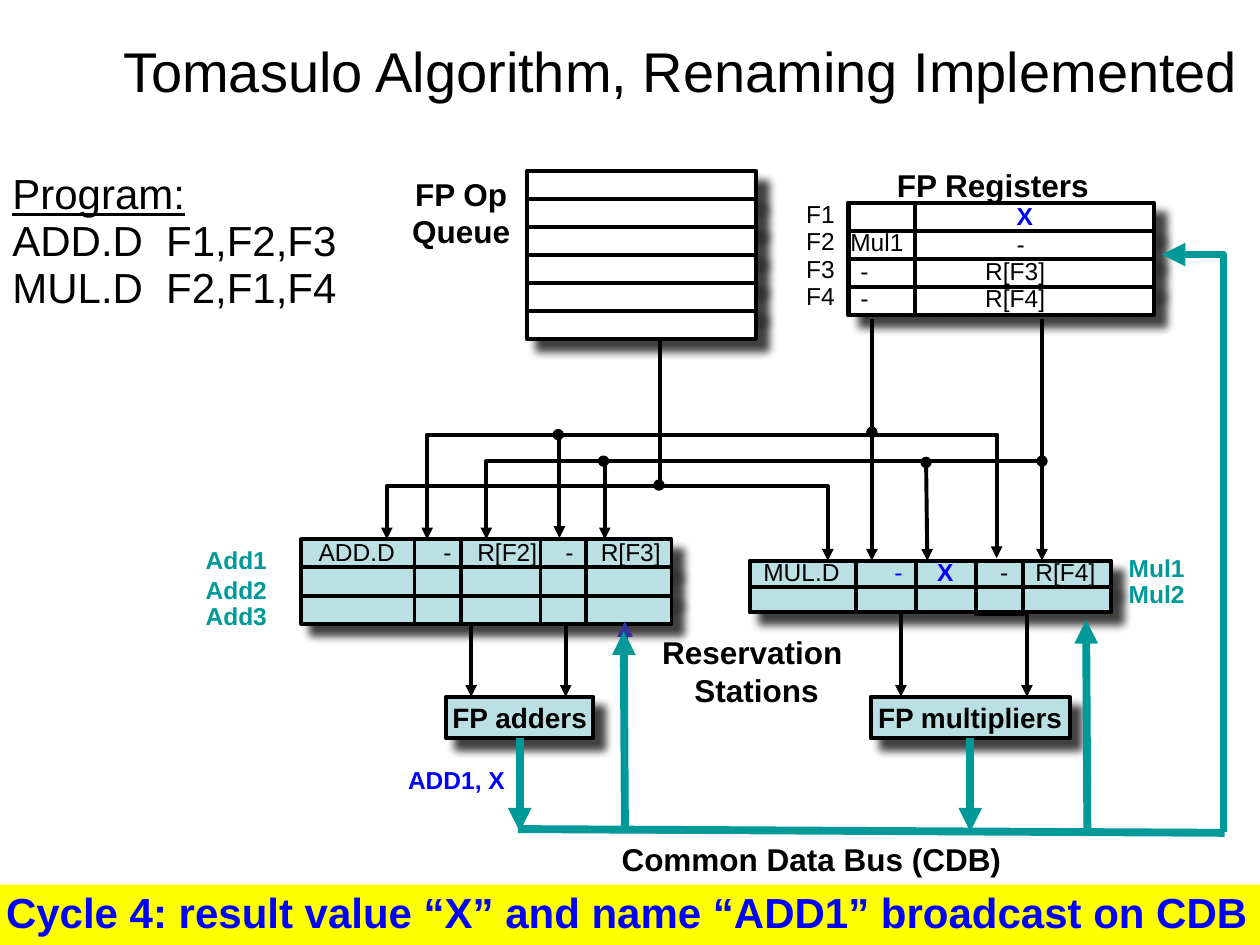
from lxml import etree
from pptx import Presentation
from pptx.dml.color import RGBColor
from pptx.enum.shapes import MSO_CONNECTOR as Connector, MSO_SHAPE as Preset
from pptx.enum.text import MSO_ANCHOR as Anchor, MSO_AUTO_SIZE as AutoSize, PP_ALIGN as Align
from pptx.oxml.ns import qn
from pptx.util import Inches, Pt

COLORS = {"black": "000000", "white": "FFFFFF", "pale": "BBE0E3", "teal": "009999",
          "indigo": "333399", "blue": "0000FF", "yellow": "FFFF00"}
TITLE = "Tomasulo Algorithm, Renaming Implemented"

STACKS = [
    ((4.18, 1.36, 1.82, 1.33), 6, "white"),
    ((6.74, 1.61, 2.42, 0.89), 4, "white"),
    ((2.39, 4.28, 2.94, 0.67), 3, "pale"),
    ((5.95, 4.45, 2.87, 0.41), 2, "pale"),
]
COLUMNS = [(3.29, 4.28, 0.37, 0.67), (4.29, 4.28, 0.36, 0.67), (6.79, 4.45, 0.48, 0.41),
           (7.75, 4.45, 0.37, 0.42), (6.73, 1.61, 0.53, 0.89)]
UNITS = {"FP adders": (3.54, 5.53, 1.17, 0.33), "FP multipliers": (6.91, 5.53, 1.58, 0.33)}

THIN, THICK = ("black", 2.25), ("teal", 4.5)
ARROWS = [
    ((3.74, 4.95), (3.74, 5.53), THIN), ((4.49, 4.95), (4.49, 5.53), THIN),
    ((7.15, 4.86), (7.15, 5.53), THIN), ((8.15, 4.86), (8.15, 5.53), THIN),
    ((6.92, 3.45), (6.92, 4.45), THIN), ((8.27, 2.53), (8.27, 4.45), THIN),
    ((7.35, 3.68), (7.36, 4.45), THIN), ((4.44, 3.43), (4.44, 4.27), THIN),
    ((4.96, 6.27), (4.96, 4.93), ("indigo", 3)),
    ((4.96, 6.6), (4.95, 5.01), THICK), ((8.63, 6.6), (8.62, 4.92), THICK),
]
BUS = ((4.11, 6.58), (9.72, 6.61), THICK)
BUS_Y = 6.6
ROUTES = [
    ([(5.24, 2.7), (5.24, 3.86), (3.07, 3.86), (3.07, 4.28)], THIN),
    ([(5.24, 3.86), (6.57, 3.86), (6.57, 4.45)], THIN),
    ([(6.92, 2.53), (6.92, 3.45), (3.39, 3.45), (3.39, 4.28)], THIN),
    ([(8.26, 3.66), (4.8, 3.66), (4.8, 4.28)], THIN),
    ([(6.86, 3.45), (7.91, 3.45), (7.91, 4.43)], THIN),
    ([(4.87, 3.66), (3.86, 3.66), (3.86, 4.28)], THIN),
    ([(9.71, 6.6), (9.71, 2.02), (9.22, 2.02)], THICK),
]
DOT = 0.08
DOTS = [(5.19, 3.81), (6.88, 3.39), (4.39, 3.41), (7.31, 3.63), (8.23, 3.62), (4.75, 3.62)]

HEADING = {"size": 18, "bold": True}
TAG = {"size": 14, "bold": True, "color": "teal"}
CELL = {"size": 14}
RESULT = {"bold": True, "color": "blue"}
LABELS = [
    ((1.53, 4.27, 0.69, 0.79), ["Add1", "Add2", "Add3"], TAG, [1, 1, 0.9]),
    ((8.78, 4.36, 0.8, 0.53), ["Mul1", "Mul2"], TAG, [0.9, 0.9]),
    ((7.01, 1.26, 1.74, 0.41), ["FP Registers"], HEADING, [1]),
    ((5.15, 4.97, 1.71, 0.71), ["Reservation ", "Stations"], HEADING, [1, 1]),
    ((4.82, 6.61, 3.24, 0.41), ["Common Data Bus (CDB)"], HEADING, [1]),
    ((3.17, 1.33, 0.98, 0.71), ["FP Op", "Queue"], HEADING, [1, 1]),
]
NOTES = [
    ((0, 1.32, 3.09, 1.23),
     [[("Program:", {"underline": True})], "ADD.D\tF1,F2,F3", "MUL.D\tF2,F1,F4"],
     {"size": 24}, [1.22]),
    ((6.3, 1.55, 0.43, 0.98), ["F1", "F2", "F3", "F4"], CELL, []),
    ((2.43, 4.23, 2.97, 0.32), ["ADD.D\t-\tR[F2],\t-\tR[F3]"], CELL, [0.99, 1.26, 1.96, 2.24]),
    ((6.65, 1.77, 0.62, 0.32), ["Mul1"], CELL, []),
    ((5.96, 4.39, 3.03, 0.32),
     [["MUL.D", ("\t-", {"color": "blue"}), ("\tX", RESULT), "\t-\tR[F4]"]],
     CELL, [1.04, 1.38, 1.88, 2.16]),
    ((6.73, 1.57, 1.72, 0.98),
     [[("\t\tX", RESULT)], "\t\t-", "-\tR[F3]", "-\tR[F4]"], CELL, [0.99, 1.24]),
    ((3.14, 6.04, 1.16, 0.32), ["ADD1, X"], {"size": 14, **RESULT}, []),
]
BANNER = ((-0.05, 7.02, 10.06, 0.48),
          ["Cycle 4: result value “X” and name “ADD1” broadcast on CDB"],
          {"size": 24, **RESULT})


def rgb(name):
    return RGBColor.from_string(COLORS[name])


def inches(values):
    return [Inches(value) for value in values]


def set_font(font, values):
    values = {"name": "Arial", "color": "black", **values}
    font.color.rgb = rgb(values.pop("color"))
    values["size"] = Pt(values["size"])
    for name, value in values.items():
        setattr(font, name, value)


def write(shape, lines, values, spacings, tabs=(), **frame_values):
    frame = shape.text_frame
    for name, value in frame_values.items():
        setattr(frame, name, value)
    centred = frame_values.get("vertical_anchor") == Anchor.MIDDLE
    for index, line in enumerate(lines):
        paragraph = frame.paragraphs[0] if index == 0 else frame.add_paragraph()
        paragraph.alignment = Align.CENTER if centred else Align.LEFT
        paragraph.line_spacing = spacings[index]
        if tabs:
            tab_list = etree.SubElement(paragraph._p.get_or_add_pPr(), qn("a:tabLst"))
            for tab in tabs:
                etree.SubElement(tab_list, qn("a:tab"), pos=str(Inches(tab)), algn="l")
        for part in [line] if isinstance(line, str) else line:
            text, changes = (part, {}) if isinstance(part, str) else part
            run = paragraph.add_run()
            run.text = text
            set_font(run.font, {**values, **changes})


def add_shadow(shape):
    effects = shape._element.spPr.find(qn("a:effectLst"))
    shadow = etree.SubElement(effects, qn("a:outerShdw"), blurRad=str(Pt(5)), dist=str(Pt(8.5)),
                              dir=str(45 * 60000), algn="ctr", rotWithShape="0")
    color = etree.SubElement(shadow, qn("a:srgbClr"), val=COLORS["black"])
    etree.SubElement(color, qn("a:alpha"), val="75000")


def add_block(shapes, box, fill=None, line=2.25, preset=Preset.RECTANGLE, shadow=False):
    shape = shapes.add_shape(preset, *inches(box))
    shape.shadow.inherit = False
    if fill:
        shape.fill.solid()
        shape.fill.fore_color.rgb = rgb(fill)
    else:
        shape.fill.background()
    if line:
        shape.line.color.rgb = rgb("black")
        shape.line.width = Pt(line)
    else:
        shape.line.fill.background()
    if shadow:
        add_shadow(shape)
    return shape


def style_line(shape, style, arrow=True):
    color, width = style
    shape.line.color.rgb = rgb(color)
    shape.line.width = Pt(width)
    if arrow:
        etree.SubElement(shape.line._get_or_add_ln(), qn("a:tailEnd"), type="triangle")


def add_line(shapes, start, end, style, arrow=True):
    connector = shapes.add_connector(Connector.STRAIGHT, *inches(start + end))
    style_line(connector, style, arrow)
    etree.SubElement(connector._element.spPr, qn("a:effectLst"))
    return connector


def add_route(shapes, points, style):
    start, *rest = [tuple(inches(point)) for point in points]
    builder = shapes.build_freeform(*start)
    builder.add_line_segments(rest, close=False)
    shape = builder.convert_to_shape()
    shape.shadow.inherit = False
    shape.fill.background()
    style_line(shape, style)


def main():
    presentation = Presentation()
    presentation.slide_width, presentation.slide_height = inches((10, 7.5))
    slide = presentation.slides.add_slide(presentation.slide_layouts[5])
    shapes = slide.shapes
    title = shapes.title
    title.left, title.top, title.width, title.height = inches((0.81, 0, 9.19, 1.12))
    write(title, [TITLE], {"size": 32}, [1], vertical_anchor=Anchor.MIDDLE, word_wrap=True)

    for (left, top, width, height), count, fill in STACKS:
        group = shapes.add_group_shape()
        row = height / count
        for index in range(count):
            add_block(group.shapes, (left, top + index * row, width, row), fill, shadow=True)
    units = []
    for name, box in UNITS.items():
        unit = add_block(shapes, box, "pale", shadow=True)
        write(unit, [name], {"size": 16, "bold": True}, [1],
              vertical_anchor=Anchor.MIDDLE, word_wrap=False)
        units.append((unit, box))

    for start, end, style in ARROWS:
        add_line(shapes, start, end, style)
    for points, style in ROUTES:
        add_route(shapes, points, style)
    add_line(shapes, *BUS, arrow=False)
    for unit, (left, top, width, height) in units:
        center = left + width / 2
        output = add_line(shapes, (center, top + height), (center, BUS_Y), THICK)
        output.begin_connect(unit, 2)
    for corner in DOTS:
        add_block(shapes, corner + (DOT, DOT), "black", 0.75, Preset.OVAL)

    for box, lines, values, spacings in LABELS:
        write(shapes.add_textbox(*inches(box)), lines, values, spacings, word_wrap=False,
              vertical_anchor=Anchor.MIDDLE, auto_size=AutoSize.SHAPE_TO_FIT_TEXT)
    for box, lines, values, tabs in NOTES:
        write(shapes.add_textbox(*inches(box)), lines, values, [0.93] * len(lines), tabs,
              word_wrap=True, auto_size=AutoSize.SHAPE_TO_FIT_TEXT)
    for box in COLUMNS:
        add_block(shapes, box)
    box, lines, values = BANNER
    write(add_block(shapes, box, "yellow", None), lines, values, [0.93], word_wrap=False,
          vertical_anchor=Anchor.TOP, auto_size=AutoSize.SHAPE_TO_FIT_TEXT)
    presentation.save("out.pptx")


if __name__ == "__main__":
    main()
